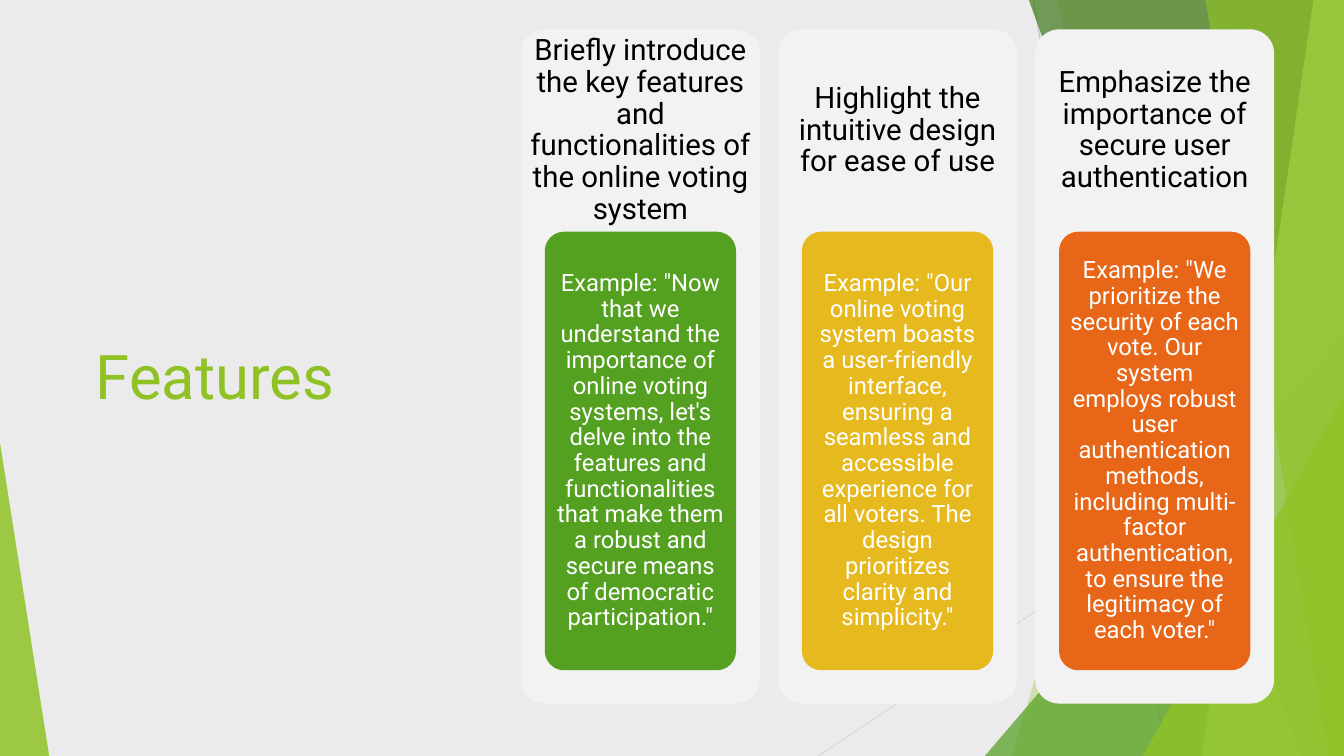
from lxml import etree
from pptx import Presentation
from pptx.dml.color import RGBColor
from pptx.enum.shapes import MSO_CONNECTOR, MSO_SHAPE
from pptx.enum.text import MSO_ANCHOR, PP_ALIGN
from pptx.oxml.ns import qn
from pptx.util import Cm, Pt

STRAIGHT = MSO_CONNECTOR.STRAIGHT
TRIANGLE = MSO_SHAPE.ISOSCELES_TRIANGLE
ROUNDED = MSO_SHAPE.ROUNDED_RECTANGLE
MIDDLE = MSO_ANCHOR.MIDDLE
LEFT, CENTER = PP_ALIGN.LEFT, PP_ALIGN.CENTER

BACKGROUND = RGBColor(0xEB, 0xEB, 0xEB)
PANEL = RGBColor(0xF2, 0xF2, 0xF2)
BLACK = RGBColor(0x00, 0x00, 0x00)
WHITE = RGBColor(0xFF, 0xFF, 0xFF)
GREY = RGBColor(0xBF, 0xBF, 0xBF)
PALE_GREY = RGBColor(0xD9, 0xD9, 0xD9)
LIME = RGBColor(0x90, 0xC2, 0x26)
PALE_LIME = RGBColor(0xC0, 0xE4, 0x74)
GREEN = RGBColor(0x54, 0xA0, 0x21)
DARK_GREEN = RGBColor(0x3F, 0x78, 0x19)
GOLD = RGBColor(0xE6, 0xB9, 0x1E)
ORANGE = RGBColor(0xE7, 0x66, 0x18)

FONT = "Roboto"
WIDTH, HEIGHT = 33.87, 19.05
CARD_LEFT, CARD_TOP, CARD_STEP = 13.13, 0.74, 6.48
CARD_WIDTH, CARD_HEIGHT, HEADING_HEIGHT = 6.02, 16.99, 5.1
EXAMPLE_WIDTH, EXAMPLE_HEIGHT = 4.82, 11.05

CARDS = [
    ("Briefly introduce the key features and functionalities of the online voting system",
     "Example: \"Now that we understand the importance of online voting systems, "
     "let's delve into the features and functionalities that make them a robust "
     "and secure means of democratic participation.\"", GREEN),
    ("Highlight the intuitive design for ease of use",
     "Example: \"Our online voting system boasts a user-friendly interface, "
     "ensuring a seamless and accessible experience for all voters. The design "
     "prioritizes clarity and simplicity.\"", GOLD),
    ("Emphasize the importance of secure user authentication",
     "Example: \"We prioritize the security of each vote. Our system employs "
     "robust user authentication methods, including multi-factor authentication, "
     "to ensure the legitimacy of each voter.\"", ORANGE),
]


def paint(sp, color, opacity=100):
    sp.shadow.inherit = False
    sp.fill.solid()
    sp.fill.fore_color.rgb = color
    sp.line.fill.background()
    if opacity < 100:
        clr = sp.fill._xPr.find(qn("a:solidFill"))[0]
        etree.SubElement(clr, qn("a:alpha"), val=str(opacity * 1000))


def add_line(s, x1, y1, x2, y2, color):
    line = s.shapes.add_connector(STRAIGHT, Cm(x1), Cm(y1), Cm(x2), Cm(y2))
    line.line.color.rgb = color
    line.line.width = Pt(0.75)
    etree.SubElement(line._element.spPr, qn("a:effectLst"))


def add_band(s, top_x, bottom_x, color, opacity):
    fb = s.shapes.build_freeform(Cm(top_x), Cm(0))
    corners = [(WIDTH, 0), (WIDTH, HEIGHT), (bottom_x, HEIGHT)]
    fb.add_line_segments([(Cm(x), Cm(y)) for x, y in corners], close=True)
    paint(fb.convert_to_shape(), color, opacity)


def add_triangle(s, left, top, width, apex, color, opacity):
    sp = s.shapes.add_shape(TRIANGLE, Cm(left), Cm(top), Cm(width), Cm(HEIGHT - top))
    sp.adjustments[0] = apex
    paint(sp, color, opacity)


def add_panel(s, left, top, width, height, color):
    sp = s.shapes.add_shape(ROUNDED, Cm(left), Cm(top), Cm(width), Cm(height))
    sp.adjustments[0] = 0.1
    paint(sp, color)
    return sp


def write(sp, text, size, color, align=CENTER):
    tf = sp.text_frame
    tf.word_wrap = True
    tf.vertical_anchor = MIDDLE
    p = tf.paragraphs[0]
    p.alignment = align
    r = p.add_run()
    r.text = text
    r.font.name = FONT
    r.font.size = Pt(size)
    r.font.color.rgb = color
    return tf, p


def write_card_text(sp, text, size, color, margin_x, margin_y):
    tf, p = write(sp, text, size, color)
    tf.margin_left = tf.margin_right = Cm(margin_x)
    tf.margin_top = tf.margin_bottom = Cm(margin_y)
    p.line_spacing = 0.9


def add_card(s, left, heading, example, color):
    add_panel(s, left, CARD_TOP, CARD_WIDTH, CARD_HEIGHT, PANEL)
    box = s.shapes.add_textbox(Cm(left), Cm(CARD_TOP), Cm(CARD_WIDTH), Cm(HEADING_HEIGHT))
    write_card_text(box, heading, 21, BLACK, 0.23, 0.23)
    sp = add_panel(s, left + (CARD_WIDTH - EXAMPLE_WIDTH) / 2, CARD_TOP + HEADING_HEIGHT,
                   EXAMPLE_WIDTH, EXAMPLE_HEIGHT, color)
    write_card_text(sp, example, 17, WHITE, 0.12, 0.1)


def add_backdrop(s):
    s.background.fill.solid()
    s.background.fill.fore_color.rgb = BACKGROUND
    add_line(s, 26.04, 0, 29.41, HEIGHT, GREY)
    add_line(s, WIDTH, 10.24, 20.62, HEIGHT, PALE_GREY)
    add_band(s, 31.19, 25.5, LIME, 30)
    add_band(s, 26.67, 30.05, LIME, 20)
    add_triangle(s, 24.82, 8.46, 9.05, 1, GREEN, 72)
    add_band(s, 25.93, 32.79, DARK_GREEN, 70)
    add_band(s, 33.1, 30.28, PALE_LIME, 70)
    add_band(s, 30.38, 33.48, LIME, 65)
    add_triangle(s, 28.8, 9.98, 5.07, 1, LIME, 80)
    add_triangle(s, 0, 11.15, 1.24, 0, LIME, 85)


def add_title(s, text):
    title = s.shapes.title
    title.left, title.top = Cm(2.16), Cm(1.37)
    title.width, title.height = Cm(10.97), Cm(16.15)
    write(title, text, 44, LIME, LEFT)


def main():
    prs = Presentation()
    prs.slide_width, prs.slide_height = Cm(WIDTH), Cm(HEIGHT)
    s = prs.slides.add_slide(prs.slide_layouts[5])
    add_backdrop(s)
    add_title(s, "Features")
    for i, (heading, example, color) in enumerate(CARDS):
        add_card(s, CARD_LEFT + i * CARD_STEP, heading, example, color)
    prs.save("out.pptx")


if __name__ == "__main__":
    main()
